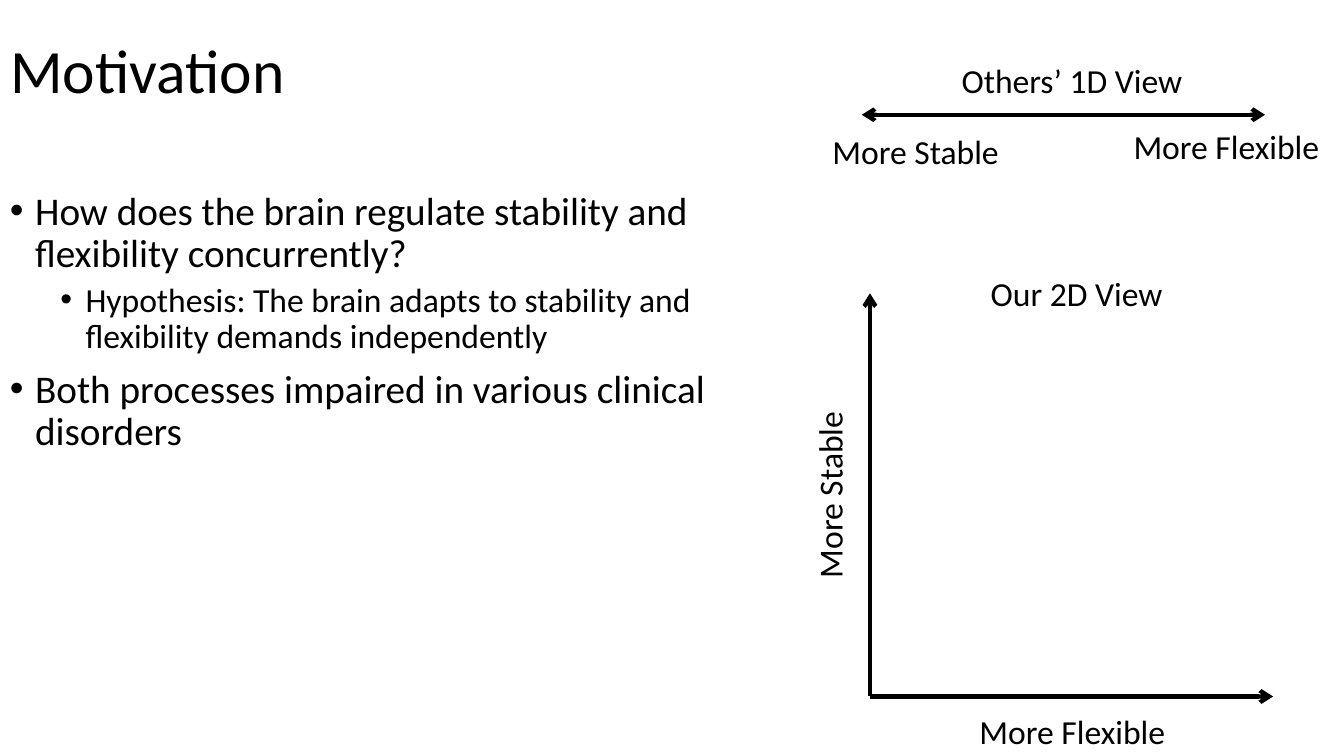
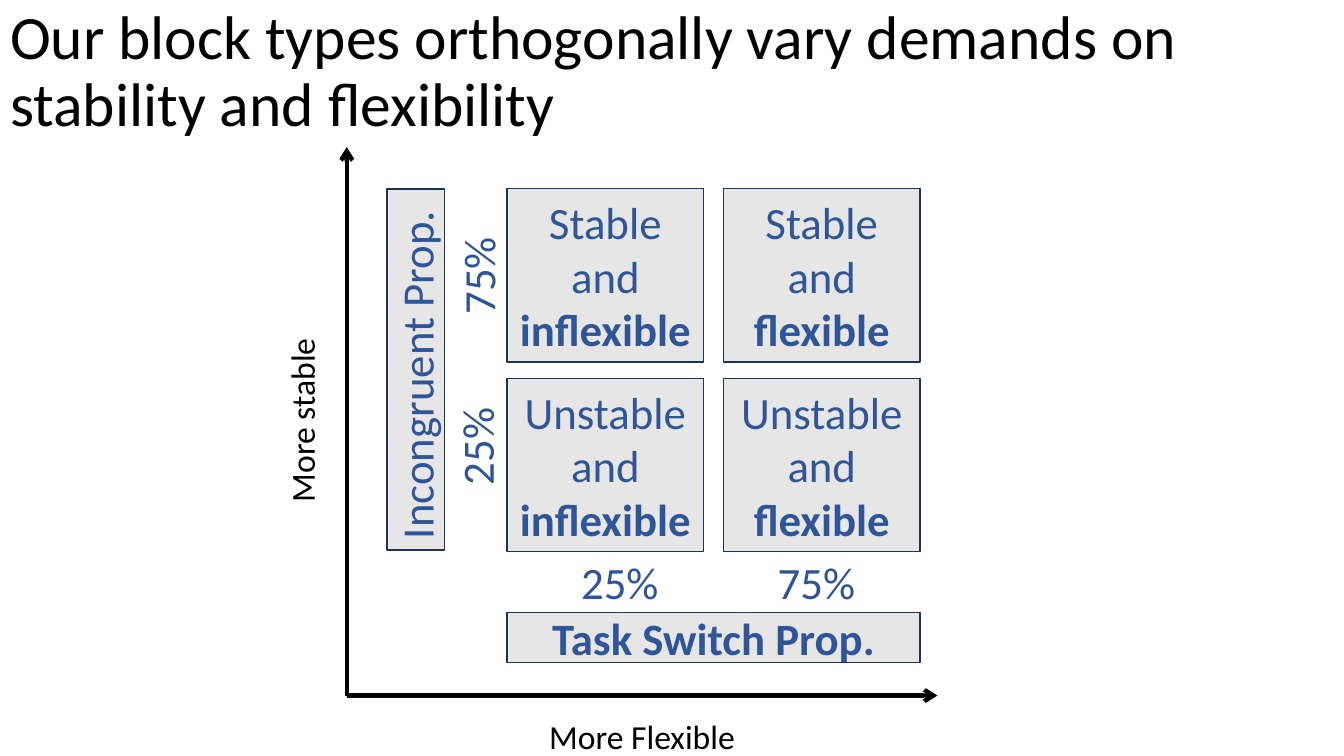
from dataclasses import dataclass
from typing import Any

from lxml.etree import SubElement
from pptx import Presentation
from pptx.dml.color import RGBColor
from pptx.enum.shapes import MSO_CONNECTOR, MSO_SHAPE
from pptx.enum.text import MSO_ANCHOR, MSO_AUTO_SIZE, PP_ALIGN
from pptx.oxml.ns import qn
from pptx.util import Pt

FONT = "Calibri"
BLACK = "000000"
BLUE = "2F5597"
PANEL = "E7E6E6"
PANEL_EDGE = "1E3256"
TITLE_HEIGHT = 104.4
LEVEL_STYLES = (
    {"size": 28, "indent": 18, "before": 10},
    {"size": 24, "indent": 54, "before": 5},
)
BULLET_HANG = 18


@dataclass(frozen=True)
class Label:
    text: str
    center_x: float
    center_y: float
    size: float = 24
    color: str = BLACK
    rotation: float = 0
    width: float = 150
    height: float = 36


@dataclass(frozen=True)
class Panel:
    plain: str
    strong: str
    center_x: float
    center_y: float
    width: float
    height: float
    rotation: float = 0
    side_margins: tuple[float, float] = (7.2, 7.2)


@dataclass(frozen=True)
class Arrow:
    start: tuple[float, float]
    end: tuple[float, float]
    double: bool = False


@dataclass(frozen=True)
class Bullet:
    text: str
    level: int = 0


def rgb(color: str) -> RGBColor:
    return RGBColor.from_string(color)


def apply_format(target: Any, values: dict[str, Any]) -> None:
    for name, value in values.items():
        setattr(target, name, value)


def style_font(font: Any, size: float, color: str, bold: bool = False) -> None:
    apply_format(font, {"name": FONT, "size": Pt(size), "bold": bold})
    font.color.rgb = rgb(color)


def box_around(item: Label | Panel) -> tuple[Pt, Pt, Pt, Pt]:
    left = item.center_x - item.width / 2
    top = item.center_y - item.height / 2
    return Pt(left), Pt(top), Pt(item.width), Pt(item.height)


def add_titled_slide(deck: Any, title: str, width: float) -> Any:
    slide = deck.slides.add_slide(deck.slide_layouts[5])
    heading = slide.shapes.title
    apply_format(heading, {
        "left": Pt(0), "top": Pt(0), "width": Pt(width), "height": Pt(TITLE_HEIGHT),
    })
    frame = heading.text_frame
    frame.text = title
    apply_format(frame, {
        "vertical_anchor": MSO_ANCHOR.MIDDLE,
        "auto_size": MSO_AUTO_SIZE.NONE,
        "word_wrap": True,
    })
    paragraph = frame.paragraphs[0]
    apply_format(paragraph, {"alignment": PP_ALIGN.LEFT, "line_spacing": 0.9})
    style_font(paragraph.runs[0].font, 44, BLACK)
    return slide


def add_label(slide: Any, label: Label) -> None:
    caption = slide.shapes.add_textbox(*box_around(label))
    caption.rotation = label.rotation
    frame = caption.text_frame
    apply_format(frame, {"word_wrap": False, "vertical_anchor": MSO_ANCHOR.MIDDLE})
    paragraph = frame.paragraphs[0]
    paragraph.alignment = PP_ALIGN.CENTER
    run = paragraph.add_run()
    run.text = label.text
    style_font(run.font, label.size, label.color)


def add_panel(slide: Any, panel: Panel) -> None:
    block = slide.shapes.add_shape(MSO_SHAPE.RECTANGLE, *box_around(panel))
    block.rotation = panel.rotation
    block.shadow.inherit = False
    block.fill.solid()
    block.fill.fore_color.rgb = rgb(PANEL)
    block.line.color.rgb = rgb(PANEL_EDGE)
    block.line.width = Pt(1)
    left, right = panel.side_margins
    frame = block.text_frame
    apply_format(frame, {
        "word_wrap": True,
        "vertical_anchor": MSO_ANCHOR.MIDDLE,
        "margin_left": Pt(left),
        "margin_right": Pt(right),
        "margin_top": Pt(0),
        "margin_bottom": Pt(0),
    })
    paragraph = frame.paragraphs[0]
    paragraph.alignment = PP_ALIGN.CENTER
    for text, bold in ((panel.plain, False), (panel.strong, True)):
        if text:
            run = paragraph.add_run()
            run.text = text
            style_font(run.font, 32, BLUE, bold)


def add_arrow(slide: Any, arrow: Arrow) -> None:
    ends = [Pt(value) for value in (*arrow.start, *arrow.end)]
    connector = slide.shapes.add_connector(MSO_CONNECTOR.STRAIGHT, *ends)
    connector.line.color.rgb = rgb(BLACK)
    connector.line.width = Pt(3)
    properties = connector.element.spPr
    outline = properties.find(qn("a:ln"))
    for tag in ("a:headEnd", "a:tailEnd") if arrow.double else ("a:tailEnd",):
        SubElement(outline, qn(tag), type="arrow")
    SubElement(properties, qn("a:effectLst"))


def add_axes(slide: Any, origin: tuple[float, float], right: float, top: float) -> None:
    for end in ((origin[0], top), (right, origin[1])):
        add_arrow(slide, Arrow(origin, end))


def add_bullets(slide: Any, bullets: list[Bullet]) -> None:
    body = slide.shapes.add_textbox(Pt(0), Pt(133.2), Pt(574.6), Pt(342.7))
    frame = body.text_frame
    frame.word_wrap = True
    for index, bullet in enumerate(bullets):
        style = LEVEL_STYLES[bullet.level]
        paragraph = frame.add_paragraph() if index else frame.paragraphs[0]
        properties = paragraph._p.get_or_add_pPr()
        properties.set("marL", str(Pt(style["indent"])))
        properties.set("indent", str(-Pt(BULLET_HANG)))
        SubElement(properties, qn("a:buFont"), typeface="Arial")
        SubElement(properties, qn("a:buChar"), char="•")
        apply_format(paragraph, {
            "level": bullet.level,
            "line_spacing": 0.9,
            "space_before": Pt(style["before"] if index else 0),
        })
        run = paragraph.add_run()
        run.text = bullet.text
        style_font(run.font, style["size"], BLACK)


def build_motivation(deck: Any) -> None:
    slide = add_titled_slide(deck, "Motivation", 528)
    add_bullets(slide, [
        Bullet("How does the brain regulate stability and flexibility concurrently?"),
        Bullet("Hypothesis: The brain adapts to stability and flexibility demands independently", 1),
        Bullet("Both processes impaired in various clinical disorders"),
    ])
    add_arrow(slide, Arrow((615.6, 82), (903.6, 82), double=True))
    origin_x, origin_y, axis_length = 621.4, 497.5, 288
    add_axes(slide, (origin_x, origin_y), origin_x + axis_length, origin_y - axis_length)
    for label in (
        Label("Others’ 1D View", 765.7, 57, width=174),
        Label("More Stable", 654, 108),
        Label("More Flexible", 876, 104.4),
        Label("Our 2D View", 769, 209.5),
        Label("More Stable", 592.2, 353.5, rotation=270),
        Label("More Flexible", 766, 522),
    ):
        add_label(slide, label)


def build_block_types(deck: Any) -> None:
    slide = add_titled_slide(
        deck, "Our block types orthogonally vary demands on stability and flexibility", 960
    )
    cell_width, cell_height = 140.4, 123.8
    first_x, first_y = 432.4, 196.6
    step_x, step_y = 154.6, 135.5
    for row, stability in enumerate(("Stable and ", "Unstable and ")):
        for column, flexibility in enumerate(("inflexible", "flexible")):
            add_panel(slide, Panel(
                stability, flexibility,
                first_x + column * step_x, first_y + row * step_y,
                cell_width, cell_height,
            ))
    grid_width, grid_height = cell_width + step_x, cell_height + step_y
    add_panel(slide, Panel(
        "Incongruent Prop.", "", 297, first_y + step_y / 2 - 0.5,
        grid_height - 1.5, 41, rotation=270, side_margins=(0, 8),
    ))
    add_panel(slide, Panel(
        "", "Task Switch Prop.", first_x + step_x / 2, 455.4, grid_width, 36,
    ))
    for share, x, y, rotation in (
        ("75%", 341, 197, 270),
        ("25%", 340, 319, 270),
        ("25%", 442.8, 415.4, 0),
        ("75%", 583.2, 415.4, 0),
    ):
        add_label(slide, Label(share, x, y, 32, BLUE, rotation, 80, 46))
    add_axes(slide, (247.7, 496.8), 669.6, 105.1)
    add_label(slide, Label("More stable", 215.3, 300.2, rotation=270))
    add_label(slide, Label("More Flexible", 458.6, 525.6))


def main() -> None:
    deck = Presentation()
    apply_format(deck, {"slide_width": Pt(960), "slide_height": Pt(540)})
    build_motivation(deck)
    build_block_types(deck)
    deck.save("out.pptx")


if __name__ == "__main__":
    main()
